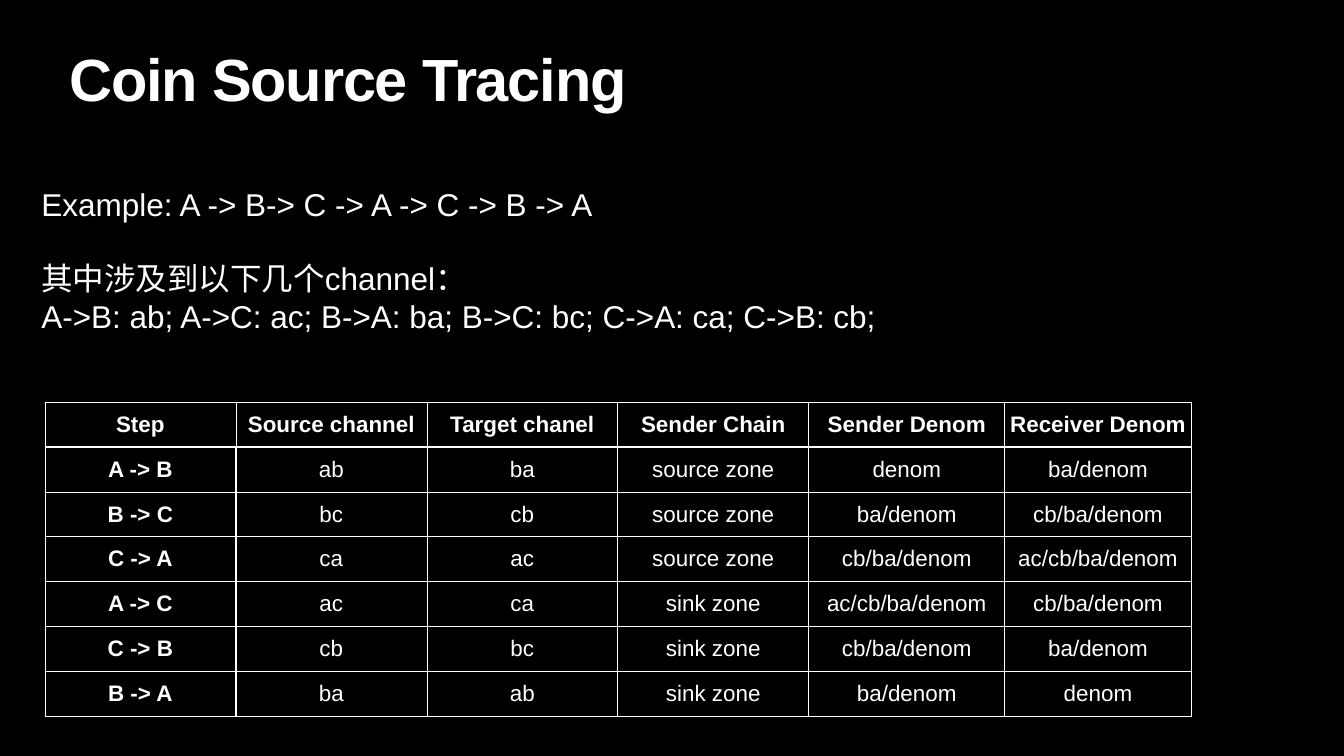
from lxml.etree import SubElement
from pptx import Presentation
from pptx.dml.color import RGBColor
from pptx.enum.text import MSO_ANCHOR, MSO_AUTO_SIZE, PP_ALIGN
from pptx.oxml.ns import qn
from pptx.util import Inches, Pt

BLACK, WHITE = "000000", "FFFFFF"
INSET = Inches(0.06)
COLS = [3.79, 3.79, 3.79, 3.79, 3.89, 3.7]
ROW = 0.89
LINES = [
    "Example: A -> B-> C -> A -> C -> B -> A",
    "其中涉及到以下几个channel：",
    "A->B: ab; A->C: ac; B->A: ba; B->C: bc; C->A: ca; C->B: cb;",
]
STEPS = [
    ["Step", "Source channel", "Target chanel", "Sender Chain", "Sender Denom", "Receiver Denom"],
    ["A -> B", "ab", "ba", "source zone", "denom", "ba/denom"],
    ["B -> C", "bc", "cb", "source zone", "ba/denom", "cb/ba/denom"],
    ["C -> A", "ca", "ac", "source zone", "cb/ba/denom", "ac/cb/ba/denom"],
    ["A -> C", "ac", "ca", "sink zone", "ac/cb/ba/denom", "cb/ba/denom"],
    ["C -> B", "cb", "bc", "sink zone", "cb/ba/denom", "ba/denom"],
    ["B -> A", "ba", "ab", "sink zone", "ba/denom", "denom"],
]


def rgb(color):
    """Turn a hex string into a colour."""
    return RGBColor.from_string(color)


def write(p, text, size, bold=False, align=PP_ALIGN.LEFT, before=0, spacing=None, track=0):
    """Write one formatted run into a paragraph."""
    p.alignment = align
    p.space_before = Pt(before)
    p.line_spacing = spacing
    r = p.add_run()
    r.text = text
    r.font.name, r.font.size, r.font.bold = "Arial", Pt(size), bold
    r.font.color.rgb = rgb(WHITE)
    if track:
        r.font._element.set("spc", str(round(track * 100)))


def set_insets(frame):
    """Give a text frame or cell equal narrow margins."""
    frame.margin_left = frame.margin_right = INSET
    frame.margin_top = frame.margin_bottom = INSET


def place(s, left, top, width, height):
    """Move and size a shape in inches."""
    s.left, s.top, s.width, s.height = map(Inches, (left, top, width, height))


def set_borders(cell, **widths):
    """Draw the given cell edges at widths in points."""
    tc_pr = cell._tc.get_or_add_tcPr()
    for edge in "LRTB":
        if edge in widths:
            ln = SubElement(tc_pr, qn(f"a:ln{edge}"), w=str(Pt(widths[edge])))
            fill = SubElement(ln, qn("a:solidFill"))
            SubElement(fill, qn("a:srgbClr"), val=WHITE)


def add_title(slide, text):
    """Format the title placeholder."""
    sp = slide.shapes.title
    place(sp, 1.32, 1.04, 24.03, 1.57)
    tf = sp.text_frame
    set_insets(tf)
    tf.auto_size = MSO_AUTO_SIZE.NONE
    tf.vertical_anchor = MSO_ANCHOR.TOP
    write(tf.paragraphs[0], text, 85, bold=True, spacing=0.8, track=-1.7)


def add_example(slide, lines):
    """Add the example route and the list of its channels."""
    sp = slide.shapes.add_textbox(0, 0, 0, 0)
    place(sp, 0.76, 3.58, 21.79, 3.14)
    tf = sp.text_frame
    set_insets(tf)
    tf.word_wrap = True
    tf.auto_size = MSO_AUTO_SIZE.SHAPE_TO_FIT_TEXT
    tf.vertical_anchor = MSO_ANCHOR.MIDDLE
    for i, line in enumerate(lines):
        p = tf.add_paragraph() if i else tf.paragraphs[0]
        write(p, line, 45, before=52 if i == 1 else 0)


def add_steps(slide, rows):
    """Add the table of transfer steps."""
    frame = slide.shapes.add_table(
        len(rows), len(COLS), Inches(0.89), Inches(7.98),
        Inches(sum(COLS)), Inches(ROW * len(rows)))
    table = frame.table
    table.first_row = table.horz_banding = False
    for column, width in zip(table.columns, COLS):
        column.width = Inches(width)
    for i, texts in enumerate(rows):
        table.rows[i].height = Inches(ROW)
        for j, text in enumerate(texts):
            cell = table.cell(i, j)
            set_insets(cell)
            cell.vertical_anchor = MSO_ANCHOR.MIDDLE
            if i == 0:
                set_borders(cell, L=1, T=1, R=1, B=3)
            elif j == 0:
                set_borders(cell, L=1, T=1, R=3, B=1)
            else:
                set_borders(cell, R=1, B=1)
            cell.fill.background()
            write(cell.text_frame.paragraphs[0], text, 32,
                  bold=i == 0 or j == 0, align=PP_ALIGN.CENTER)


def main():
    """Build and save the slide."""
    prs = Presentation()
    prs.slide_width, prs.slide_height = Inches(26.67), Inches(15)
    slide = prs.slides.add_slide(prs.slide_layouts[5])
    slide.background.fill.solid()
    slide.background.fill.fore_color.rgb = rgb(BLACK)
    add_title(slide, "Coin Source Tracing")
    add_example(slide, LINES)
    add_steps(slide, STEPS)
    prs.save("out.pptx")


if __name__ == "__main__":
    main()
